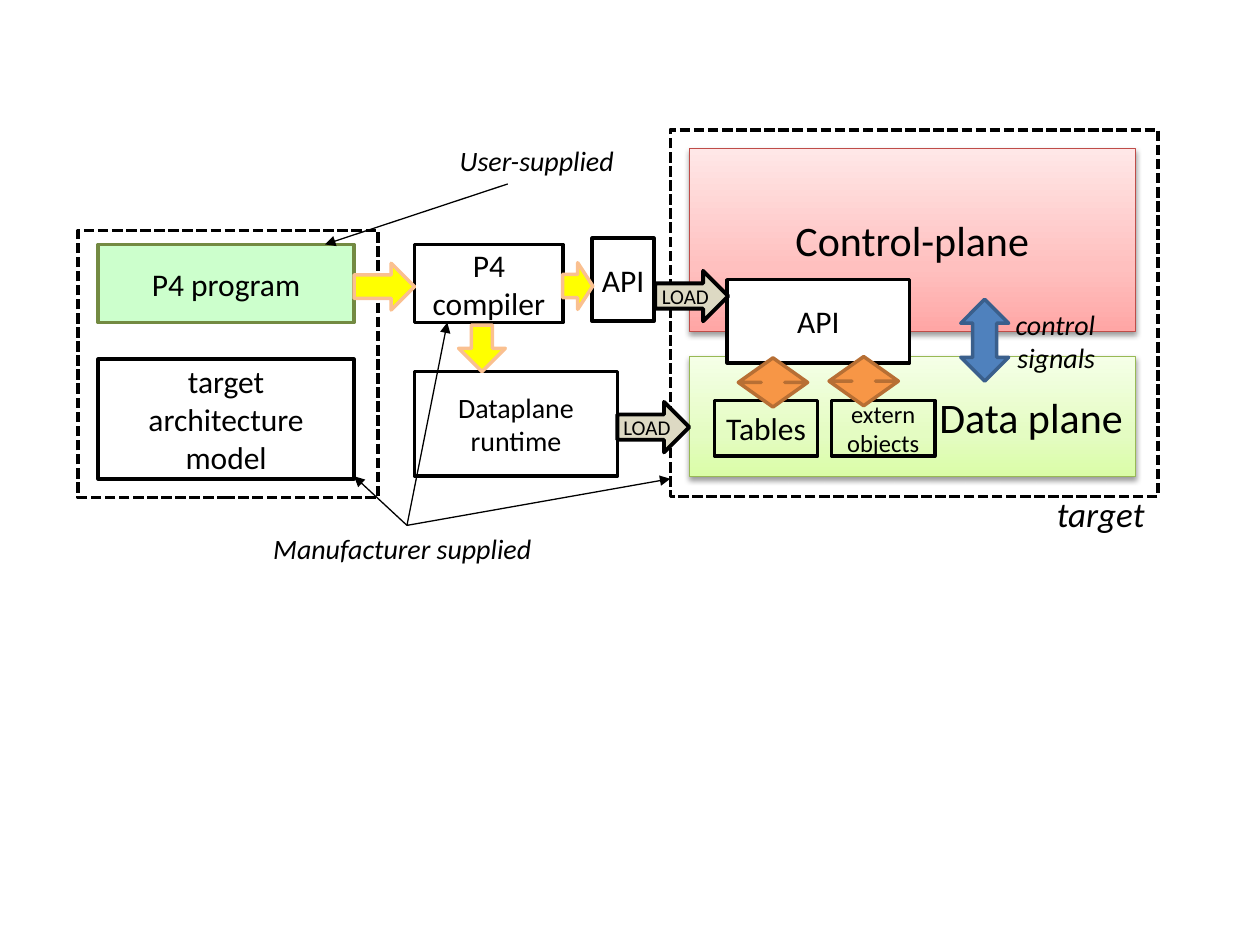
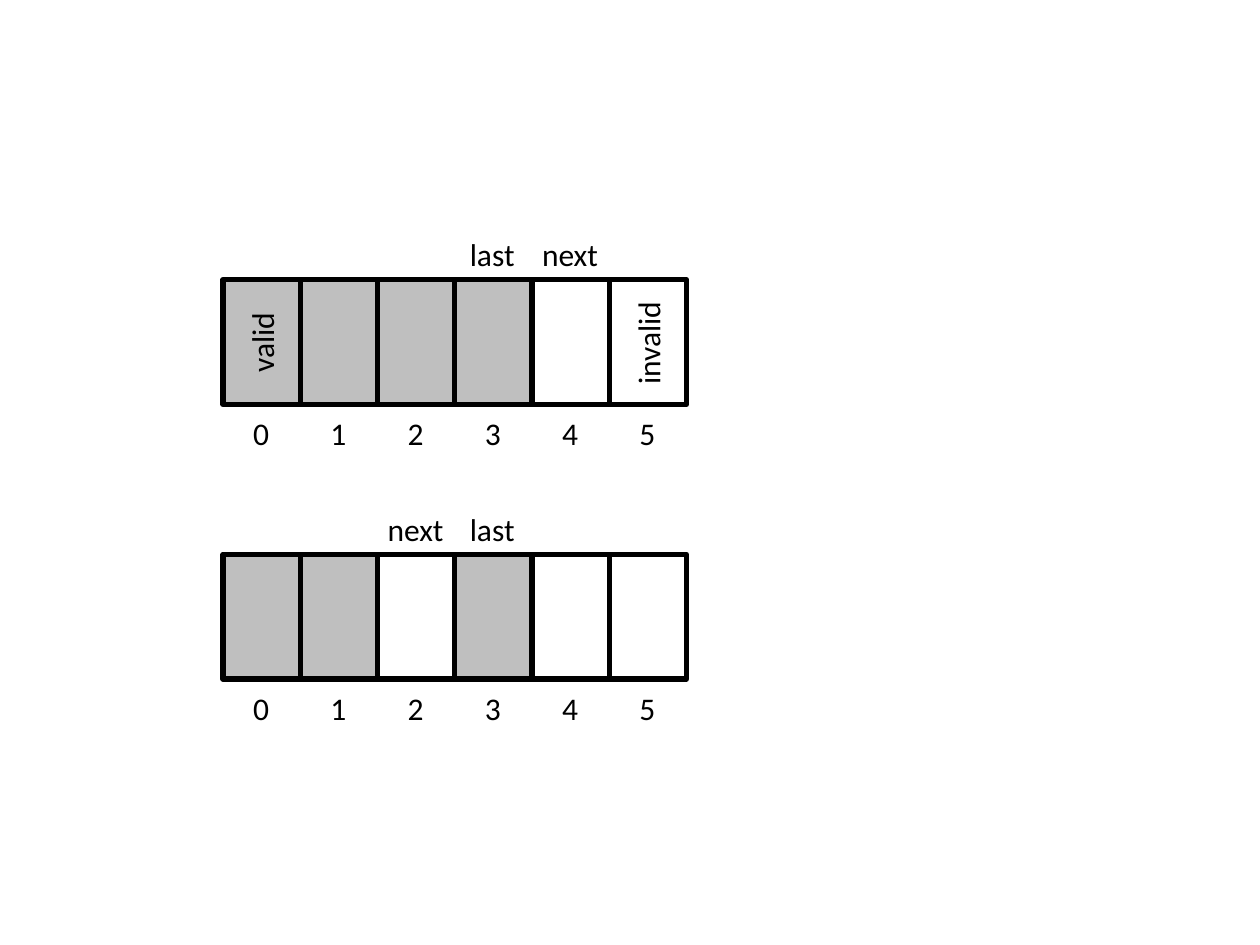
import copy

import pptx
import pptx.dml.color
import pptx.enum.dml
import pptx.enum.shapes
import pptx.enum.text
import pptx.oxml
import pptx.oxml.ns
import pptx.util

# Shared look; the grid has 100 columns and 75 rows
SLIDE_WIDTH = pptx.util.Inches(10)
SLIDE_HEIGHT = pptx.util.Inches(7.5)
COLUMN = SLIDE_WIDTH / 100
ROW = SLIDE_HEIGHT / 75
FONT = "Calibri"
BLACK, WHITE, GREY = "000000", "FFFFFF", "BFBFBF"
YELLOW, PEACH, ORANGE, BROWN = "FFFF00", "FAC090", "F79646", "B76F34"
RED_SHADES = [(0, "FFA6A5"), (0.35, "FFC0BF"), (1, "FFE7E7")]
GREEN_SHADES = [(0, "DAFDA7"), (0.35, "E4FCC2"), (1, "F5FFE7")]
SHAPE = pptx.enum.shapes.MSO_SHAPE
ALIGN = pptx.enum.text.PP_ALIGN
ANCHOR = pptx.enum.text.MSO_ANCHOR
qn = pptx.oxml.ns.qn


def rgb(code):
    return pptx.dml.color.RGBColor.from_string(code)


def grid(left, top, width, height):
    return [round(n * unit) for n, unit in
            zip((left, top, width, height), (COLUMN, ROW, COLUMN, ROW))]


def write(frame, text, size=18, italic=False, align=ALIGN.CENTER,
          anchor=ANCHOR.MIDDLE, wrap=True):
    """Fill a text frame: newline starts a paragraph, \\v breaks a line."""
    frame.text = text
    frame.word_wrap = wrap
    frame.vertical_anchor = anchor
    for paragraph in frame.paragraphs:
        paragraph.alignment = align
        for run in paragraph.runs:
            run.font.name = FONT
            run.font.size = pptx.util.Pt(size)
            run.font.italic = italic
            run.font.color.rgb = rgb(BLACK)
        for line_break in paragraph._p.findall(qn("a:br")):
            line_break.append(copy.deepcopy(paragraph._p.find(qn("a:r")).rPr))


def block(slide, place, text="", kind=SHAPE.RECTANGLE, fill=None, line=BLACK,
          weight=2, dash=None, turn=0, adjust=(), **text_format):
    shape = slide.shapes.add_shape(kind, *grid(*place))
    shape.shadow.inherit = False
    shape.rotation = turn
    for index, value in enumerate(adjust):
        shape.adjustments[index] = value
    if fill:
        shape.fill.solid()
        shape.fill.fore_color.rgb = rgb(fill)
    else:
        shape.fill.background()
    shape.line.color.rgb = rgb(line)
    shape.line.width = pptx.util.Pt(weight)
    if dash:
        shape.line.dash_style = dash
    if text:
        write(shape.text_frame, text, **text_format)
    return shape


def plane(slide, place, text, shades, line, **text_format):
    """A block with an upward gradient and a soft shadow below."""
    shape = block(slide, place, text, line=line, weight=0.75, **text_format)
    shape.fill.gradient()
    shape.fill.gradient_angle = 90
    stop_list = shape._element.spPr.find(".//" + qn("a:gsLst"))
    stop_list.append(copy.deepcopy(stop_list[0]))
    for stop, (position, color) in zip(shape.fill.gradient_stops, shades):
        stop.position = position
        stop.color.rgb = rgb(color)
    shape._element.spPr.find(qn("a:effectLst")).append(pptx.oxml.parse_xml(
        f'<a:outerShdw {pptx.oxml.ns.nsdecls("a")} blurRad="40000" '
        'dist="20000" dir="5400000" rotWithShape="0"><a:srgbClr val="000000">'
        '<a:alpha val="38000"/></a:srgbClr></a:outerShdw>'))


def label(slide, place, text, turn=0, align=ALIGN.LEFT, **text_format):
    box = slide.shapes.add_textbox(*grid(*place))
    box.rotation = turn
    write(box.text_frame, text, align=align, anchor=ANCHOR.TOP, wrap=False,
          **text_format)
    box.text_frame.auto_size = pptx.enum.text.MSO_AUTO_SIZE.SHAPE_TO_FIT_TEXT


def centered_label(slide, center, middle, width, text, turn=0):
    height = 4
    label(slide, (center - width / 2, middle - height / 2, width, height),
          text, turn=turn)


def pointer(slide, start, end):
    pointing = slide.shapes.add_connector(
        pptx.enum.shapes.MSO_CONNECTOR.STRAIGHT, *grid(*start, *end))
    pointing.line.color.rgb = rgb(BLACK)
    pointing.line.width = pptx.util.Pt(0.75)
    line_xml = pointing.line._get_or_add_ln()
    pptx.oxml.ns.qn("a:tailEnd")
    tail = line_xml.makeelement(qn("a:tailEnd"), {"type": "triangle"})
    line_xml.append(tail)
    properties = pointing._element.spPr
    properties.append(properties.makeelement(qn("a:effectLst"), {}))


def frame(slide, place):
    block(slide, place, dash=pptx.enum.dml.MSO_LINE.SQUARE_DOT)


def load_arrow(slide, place):
    block(slide, place, "LOAD", kind=SHAPE.RIGHT_ARROW, fill="DDD9C3",
          weight=2.25, size=12, wrap=False)


def yellow_arrow(slide, place, kind, **look):
    block(slide, place, kind=kind, fill=YELLOW, line=PEACH, **look)


def toolchain_slide(slide):
    # Sources, compiler and its outputs
    block(slide, (7.8, 19.4, 20.3, 6.2), "P4 program", fill="CCFFCC",
          line="738A42")
    block(slide, (7.8, 28.5, 20.3, 9.5), "target\varchitecture\nmodel")
    plane(slide, (54.7, 28.3, 35.4, 9.5), "Data plane", GREEN_SHADES,
          "98B955", size=24, align=ALIGN.RIGHT, wrap=False)
    block(slide, (32.9, 19.4, 11.8, 6.2), "P4 compiler")
    block(slide, (56.7, 31.8, 8.2, 4.4), "Tables", wrap=False)
    block(slide, (32.9, 29.5, 16.1, 8.3), "Dataplane\vruntime", size=16)
    yellow_arrow(slide, (36.4, 25.8, 3.7, 3.7), SHAPE.DOWN_ARROW,
                 adjust=(0.45, 0.5))

    # Target with its control plane
    plane(slide, (54.7, 11.8, 35.4, 14.5), "Control-plane", RED_SHADES,
          "BF4C48", size=24)
    block(slide, (74.9, 25.1, 6.5, 3.8), kind=SHAPE.LEFT_RIGHT_ARROW,
          fill="4F81BD", line="3A5F8C", turn=270)
    frame(slide, (6.2, 18.3, 23.8, 21.2))
    frame(slide, (53.2, 10.3, 38.7, 29.1))
    label(slide, (82.9, 38.6, 9, 4.4), "target", size=20, italic=True)

    # Who supplies what
    label(slide, (35.5, 10.9, 15, 3.7), "User-supplied", size=16, italic=True)
    pointer(slide, (40.3, 14.6), (25.8, 19.4))
    block(slide, (57.7, 22.2, 14.5, 6.6), "API", fill=WHITE)
    label(slide, (20.7, 41.7, 23.3, 3.7), "Manufacturer supplied", size=16,
          italic=True)
    for supplied in ((28.1, 37.8), (35.5, 25.6), (53.2, 38)):
        pointer(slide, (32.3, 41.7), supplied)
    label(slide, (79.5, 23.9, 8.4, 6.4), "control\nsignals", size=16,
          italic=True, align=ALIGN.RIGHT)

    # Flow between the parts
    yellow_arrow(slide, (28.1, 20.9, 4.8, 3.7), SHAPE.RIGHT_ARROW)
    block(slide, (66, 31.8, 8.2, 4.4), "extern\vobjects", size=14, wrap=False)
    for left, top in ((58.6, 28.4), (65.8, 28.3)):
        block(slide, (left, top, 5.5, 3.9), kind=SHAPE.UP_DOWN_ARROW,
              fill=ORANGE, line=BROWN, adjust=(0.5, 0.34))
    block(slide, (47, 18.9, 4.9, 6.6), "API", fill=WHITE, wrap=False)
    yellow_arrow(slide, (44, 21.5, 3.7, 2.4), SHAPE.DOWN_ARROW, turn=270)
    load_arrow(slide, (49, 31.9, 5.7, 4))
    load_arrow(slide, (52, 21.5, 5.8, 4))


def header_stack(slide, top, valid, last, following, notes=()):
    """Six numbered cells; the valid ones are grey, two have a mark above."""
    left, width, height = 17.7, 6.13, 9.9

    def center(index):
        return left + (index + 0.5) * width

    for index in range(6):
        block(slide, (left + index * width, top, width, height),
              fill=GREY if index in valid else None, weight=3)
        centered_label(slide, center(index), top + 12.2, 3.3, str(index))
    centered_label(slide, center(following), top - 2, 6.5, "next")
    centered_label(slide, center(last), top - 2, 5.7, "last")
    for index, note_width, note in notes:
        centered_label(slide, center(index), top + height / 2, note_width,
                       note, turn=270)


def main():
    deck = pptx.Presentation()
    deck.slide_width, deck.slide_height = SLIDE_WIDTH, SLIDE_HEIGHT
    blank = deck.slide_layouts[6]
    toolchain_slide(deck.slides.add_slide(blank))
    stacks = deck.slides.add_slide(blank)
    header_stack(stacks, 22.2, valid={0, 1, 2, 3}, last=3, following=4,
                 notes=[(0, 6.8, "valid"), (5, 8.7, "invalid")])
    header_stack(stacks, 44, valid={0, 1, 3}, last=3, following=2)
    deck.save("out.pptx")


main()
